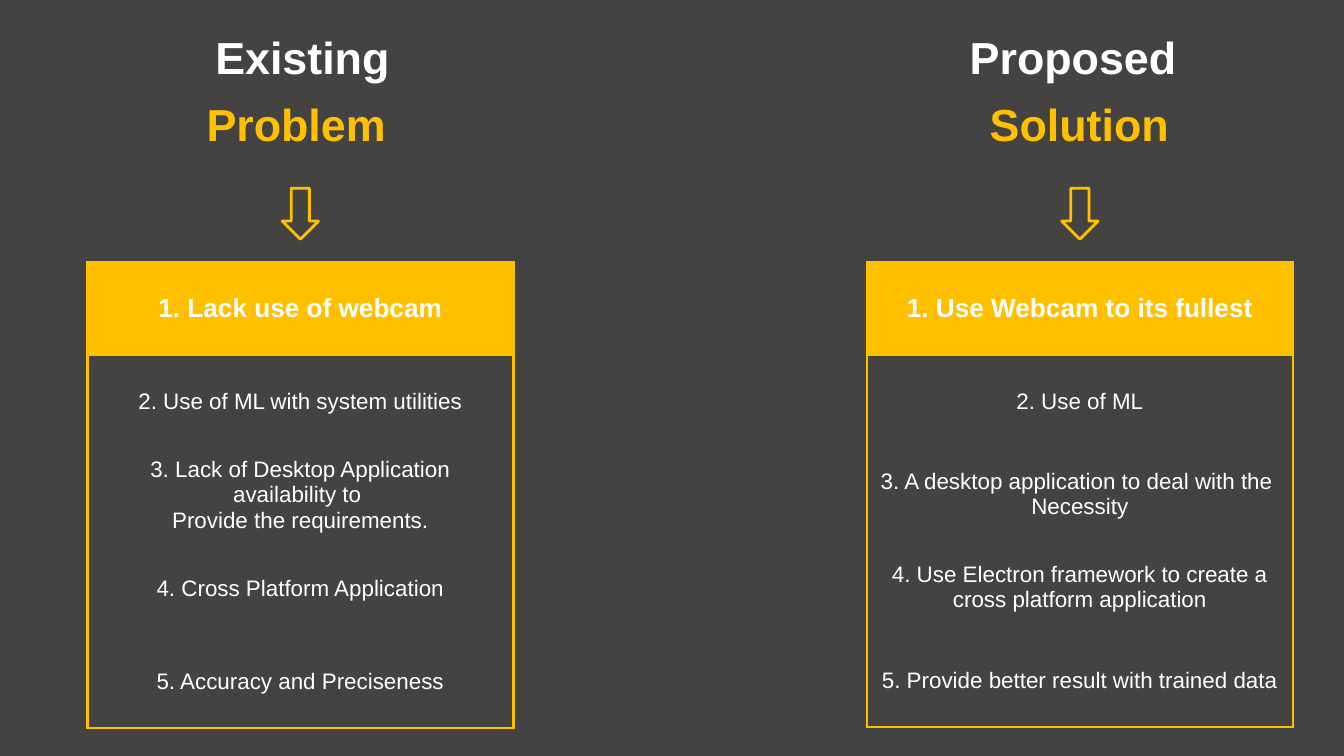
"""Build a slide that sets existing problems beside proposed solutions."""
from lxml import etree
from pptx import Presentation
from pptx import util as u
from pptx.dml.color import RGBColor
from pptx.enum import shapes, text
from pptx.oxml.ns import qn

WIDTH = 10
HEIGHT = WIDTH * 9 / 16
GREY, GOLD, WHITE = "444342", "FFC000", "FFFFFF"
FONT = "Arial"
TABLE_TOP, TABLE_WIDTH, TABLE_HEIGHT = 1.95, 3.17, 3.46
ARROW_WIDTH, ARROW_HEIGHT, ARROW_TOP = 0.27, 0.38, 1.4
LINE_WIDTH = u.Pt(1.5)

COLUMNS = [
    {
        "left": 0.65,
        "heading": (1.06, 2.38, ["Existing", "Problem "]),
        "rows": [
            "1. Lack use of webcam",
            "2. Use of ML with system utilities",
            "3. Lack of Desktop Application availability to \nProvide the requirements.",
            "4. Cross Platform Application",
            "5. Accuracy and Preciseness",
        ],
    },
    {
        "left": 6.45,
        "heading": (6.89, 2.28, ["Proposed ", "Solution"]),
        "rows": [
            "1. Use Webcam to its fullest",
            "2. Use of ML",
            "3. A desktop application to deal with the \nNecessity",
            "4. Use Electron framework to create a cross platform application",
            "5. Provide better result with trained data",
        ],
    },
]


def color(value):
    return RGBColor.from_string(value)


def style(para, size, shade, bold):
    para.alignment = text.PP_ALIGN.CENTER
    for span in para.runs:
        span.font.name, span.font.size, span.font.bold = FONT, u.Pt(size), bold
        span.font.color.rgb = color(shade)


def add_heading(page, left, width, lines):
    box = page.shapes.add_textbox(*map(u.Inches, (left, 0.06, width, 1.18)))
    frame = box.text_frame
    frame.word_wrap = True
    frame.vertical_anchor = text.MSO_ANCHOR.MIDDLE
    frame.text = "\n".join(lines)
    for para, shade in zip(frame.paragraphs, (WHITE, GOLD)):
        style(para, 24, shade, True)
        para.line_spacing = 1.1
    frame.paragraphs[1].space_before = u.Pt(4.4)


def add_arrow(page, left):
    arrow = page.shapes.add_shape(
        shapes.MSO_SHAPE.DOWN_ARROW,
        *map(u.Inches, (left, ARROW_TOP, ARROW_WIDTH, ARROW_HEIGHT)))
    arrow.shadow.inherit = False
    arrow.fill.background()
    arrow.line.color.rgb = color(GOLD)
    arrow.line.width = LINE_WIDTH


def set_borders(cell, visible):
    properties = cell._tc.get_or_add_tcPr()
    for index, side in enumerate("LRTB"):
        line = etree.Element(qn(f"a:ln{side}"), w=str(LINE_WIDTH))
        if side in visible:
            fill = etree.SubElement(line, qn("a:solidFill"))
            etree.SubElement(fill, qn("a:srgbClr"), val=GOLD)
        else:
            etree.SubElement(line, qn("a:noFill"))
        properties.insert(index, line)


def add_list(page, left, rows):
    table = page.shapes.add_table(
        len(rows), 1,
        *map(u.Inches, (left, TABLE_TOP, TABLE_WIDTH, TABLE_HEIGHT))).table
    table.first_row = table.horz_banding = False
    for index, words in enumerate(rows):
        cell = table.cell(index, 0)
        cell.text_frame.text = words
        cell.vertical_anchor = text.MSO_ANCHOR.MIDDLE
        is_header = index == 0
        for para in cell.text_frame.paragraphs:
            style(para, 14 if is_header else 12, WHITE, is_header)
        if is_header:
            cell.fill.solid()
            cell.fill.fore_color.rgb = color(GOLD)
        else:
            cell.fill.background()
        top = "T" if index < 2 else ""
        bottom = "B" if index in (0, len(rows) - 1) else ""
        set_borders(cell, "LR" + top + bottom)


def main():
    deck = Presentation()
    deck.slide_width, deck.slide_height = u.Inches(WIDTH), u.Inches(HEIGHT)
    page = deck.slides.add_slide(deck.slide_layouts[6])
    page.background.fill.solid()
    page.background.fill.fore_color.rgb = color(GREY)
    for column in COLUMNS:
        add_heading(page, *column["heading"])
        add_list(page, column["left"], column["rows"])
        add_arrow(page, column["left"] + (TABLE_WIDTH - ARROW_WIDTH) / 2)
    deck.save("out.pptx")


if __name__ == "__main__":
    main()
